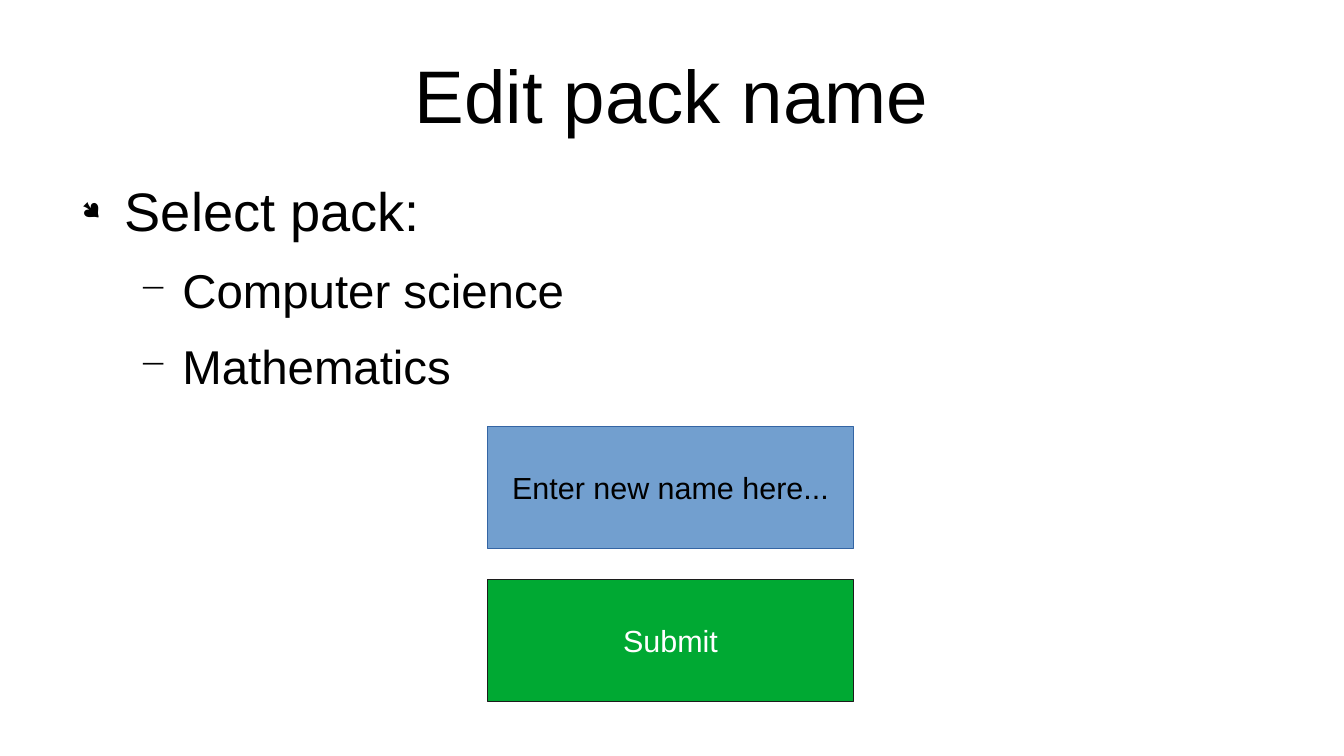
"""Build the "Edit pack name" slide."""
from dataclasses import dataclass

from lxml.etree import SubElement
from pptx import Presentation
from pptx.dml.color import RGBColor as RGB
from pptx.enum.shapes import MSO_SHAPE as SHAPE
from pptx.enum.text import MSO_ANCHOR as ANCHOR, MSO_AUTO_SIZE as AUTO, PP_ALIGN as ALIGN
from pptx.oxml.ns import qn
from pptx.util import Cm, Pt


@dataclass(frozen=True)
class Theme:
    font: str = "Arial"
    black: str = "000000"
    white: str = "FFFFFF"
    field: str = "729FCF"
    field_line: str = "3465A4"
    submit: str = "00A933"
    submit_line: str = "1C1C1C"
    title: int = 44
    levels: tuple = (32, 28)
    button: int = 18
    before: tuple = (14.2, 11.3)
    bullets: tuple = (("●", "Wingdings", 45), ("−", "Symbol", 75))


class Deck:
    def __init__(self, prs, theme):
        self.theme = theme
        self.s = prs.slides.add_slide(prs.slide_layouts[1])

    def apply(self, obj, values):
        for name, value in values.items():
            setattr(obj, name, value)

    def place(self, sp, left, top, width, height):
        box = {"left": left, "top": top, "width": width, "height": height}
        self.apply(sp, {name: Cm(value) for name, value in box.items()})

    def frame(self, sp, anchor, inset_x=0, inset_y=0):
        tf = sp.text_frame
        self.apply(tf, {
            "word_wrap": True, "auto_size": AUTO.NONE, "vertical_anchor": anchor,
            "margin_left": Cm(inset_x), "margin_right": Cm(inset_x),
            "margin_top": Cm(inset_y), "margin_bottom": Cm(inset_y)})
        return tf

    def add_text(self, p, text, size, color, align):
        p.alignment = align
        r = p.add_run()
        r.text = text
        self.apply(r.font, {"name": self.theme.font, "size": Pt(size)})
        r.font.color.rgb = RGB.from_string(color)

    def title(self, text, *box):
        sp = self.s.shapes.title
        self.place(sp, *box)
        p = self.frame(sp, ANCHOR.MIDDLE).paragraphs[0]
        self.add_text(p, text, self.theme.title, self.theme.black, ALIGN.CENTER)

    def bullet(self, p, level):
        char, font, size = self.theme.bullets[level]
        pPr = p._p.get_or_add_pPr()
        pPr.set("marL", str(Cm(1.2 * (level + 1))))
        pPr.set("indent", str(-Cm(0.9)))
        color = SubElement(pPr, qn("a:buClr"))
        SubElement(color, qn("a:srgbClr"), val=self.theme.black)
        SubElement(pPr, qn("a:buSzPct"), val=str(size * 1000))
        SubElement(pPr, qn("a:buFont"), typeface=font)
        SubElement(pPr, qn("a:buChar"), char=char)

    def body(self, items, *box):
        sp = self.s.placeholders[1]
        self.place(sp, *box)
        tf = self.frame(sp, ANCHOR.TOP)
        for i, (level, text) in enumerate(items):
            p = tf.add_paragraph() if i else tf.paragraphs[0]
            self.apply(p, {"level": level, "space_before": Pt(self.theme.before[level])})
            self.bullet(p, level)
            self.add_text(p, text, self.theme.levels[level], self.theme.black, ALIGN.LEFT)

    def button(self, text, fill, line, color, *box):
        sp = self.s.shapes.add_shape(SHAPE.RECTANGLE, *map(Cm, box))
        sp.shadow.inherit = False
        sp.fill.solid()
        sp.fill.fore_color.rgb = RGB.from_string(fill)
        sp.line.color.rgb = RGB.from_string(line)
        sp.line.width = Pt(0)
        p = self.frame(sp, ANCHOR.MIDDLE, 0.25, 0.13).paragraphs[0]
        self.add_text(p, text, self.theme.button, color, ALIGN.CENTER)


def main():
    prs = Presentation()
    prs.slide_width, prs.slide_height = Cm(28), Cm(15.75)
    t = Theme()
    deck = Deck(prs, t)
    deck.title("Edit pack name", 1.4, 0.63, 25.2, 2.63)
    deck.body([(0, "Select pack:"), (1, "Computer science"), (1, "Mathematics")],
              1.4, 3.69, 25.2, 9.13)
    buttons = [("Enter new name here...", t.field, t.field_line, t.black),
               ("Submit", t.submit, t.submit_line, t.white)]
    for i, button in enumerate(buttons):
        deck.button(*button, 10.16, 8.89 + 3.18 * i, 7.62, 2.54)
    prs.save("out.pptx")


if __name__ == "__main__":
    main()
